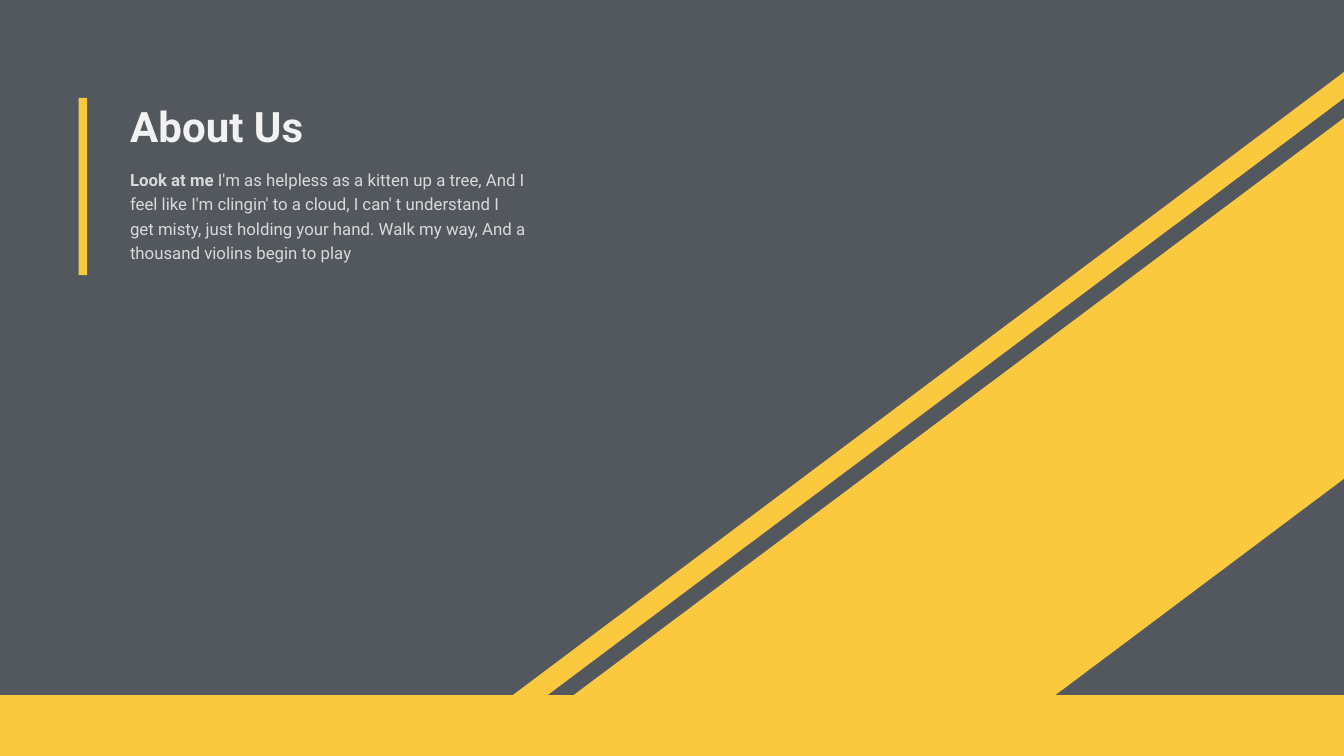
"""Build the About Us slide with its diagonal yellow bands."""
import pptx
import pptx.dml.color
import pptx.enum.shapes
import pptx.enum.text
import pptx.oxml.xmlchemy
import pptx.util
from pptx.util import Inches

COLORS = {
    "background": "53585F",
    "accent": "FAC93D",
    "title": "F2F2F2",
    "body": "D9D9D9",
}
FONT = "Roboto"
WIDTH, HEIGHT = 26.67, 15


def color(name):
    return pptx.dml.color.RGBColor.from_string(COLORS[name])


def paint(shape):
    shape.fill.solid()
    shape.fill.fore_color.rgb = color("accent")
    shape.line.fill.background()
    shape.shadow.inherit = False


def add_bar(slide, left, top, width, height):
    rectangle = pptx.enum.shapes.MSO_SHAPE.RECTANGLE
    paint(slide.shapes.add_shape(
        rectangle, Inches(left), Inches(top), Inches(width), Inches(height)))


def add_band(slide, points):
    corners = [(Inches(x), Inches(y)) for x, y in points]
    builder = slide.shapes.build_freeform(*corners[0])
    builder.add_line_segments(corners[1:], close=True)
    paint(builder.convert_to_shape())


def place(shape, left, top, width, height):
    shape.left, shape.top = Inches(left), Inches(top)
    shape.width, shape.height = Inches(width), Inches(height)


def write_text(shape, runs, *, size, fill, align, anchor, inset, wrap=True, spacing=1.0):
    frame = shape.text_frame
    frame.auto_size = pptx.enum.text.MSO_AUTO_SIZE.NONE
    frame.word_wrap = wrap
    frame.vertical_anchor = anchor
    frame.margin_left = frame.margin_right = Inches(inset)
    frame.margin_top = frame.margin_bottom = Inches(inset)
    paragraph = frame.paragraphs[0]
    properties = paragraph._p.get_or_add_pPr()
    properties.set("marL", "0")
    properties.set("indent", "0")
    properties.append(pptx.oxml.xmlchemy.OxmlElement("a:buNone"))
    paragraph.alignment = align
    paragraph.line_spacing = spacing
    paragraph.space_before = pptx.util.Pt(0)
    for text, bold in runs:
        run = paragraph.add_run()
        run.text = text
        run.font.name = FONT
        run.font.size = pptx.util.Pt(size)
        run.font.bold = bold
        run.font.color.rgb = color(fill)


def main():
    presentation = pptx.Presentation()
    presentation.slide_width = Inches(WIDTH)
    presentation.slide_height = Inches(HEIGHT)
    slide = presentation.slides.add_slide(presentation.slide_layouts[1])
    slide.background.fill.solid()
    slide.background.fill.fore_color.rgb = color("background")

    add_bar(slide, 0, 13.79, WIDTH, 1.21)
    add_band(slide, [(WIDTH, 1.43), (8.43, 15.1), (8.68, 15.43), (WIDTH, 1.95)])
    add_band(slide, [(WIDTH, 2.34), (9.77, HEIGHT), (19.33, HEIGHT), (WIDTH, 9.5)])
    add_bar(slide, 1.56, 1.94, 0.17, 3.52)

    align = pptx.enum.text.PP_ALIGN
    anchor = pptx.enum.text.MSO_ANCHOR
    title = slide.shapes.title
    place(title, 2.5, 1.94, 3.6, 1.12)
    write_text(title, [("About Us", True)], size=60, fill="title",
               align=align.CENTER, anchor=anchor.MIDDLE, inset=0.06, wrap=False)

    body = slide.placeholders[1]
    place(body, 2.5, 3.21, 8.01, 2.1)
    write_text(body, [
        ("Look at me", True),
        (" I'm as helpless as a kitten up a tree, And I feel like I'm clingin' to a cloud, "
         "I can' t understand I get misty, just holding your hand. Walk my way, "
         "And a thousand violins begin to play", False),
    ], size=24, fill="body", align=align.LEFT, anchor=anchor.TOP, inset=0.08, spacing=1.2)

    presentation.save("out.pptx")


if __name__ == "__main__":
    main()
